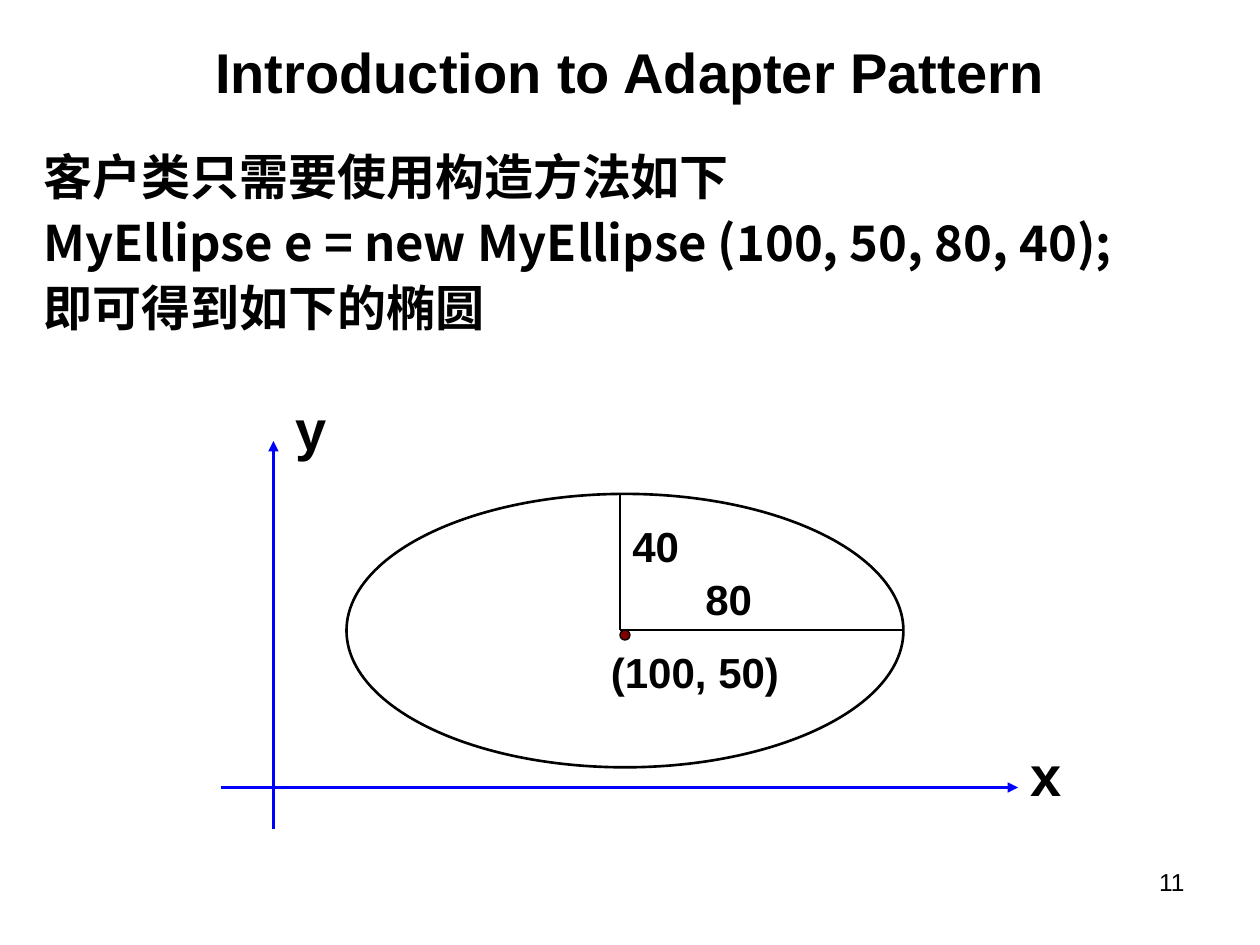
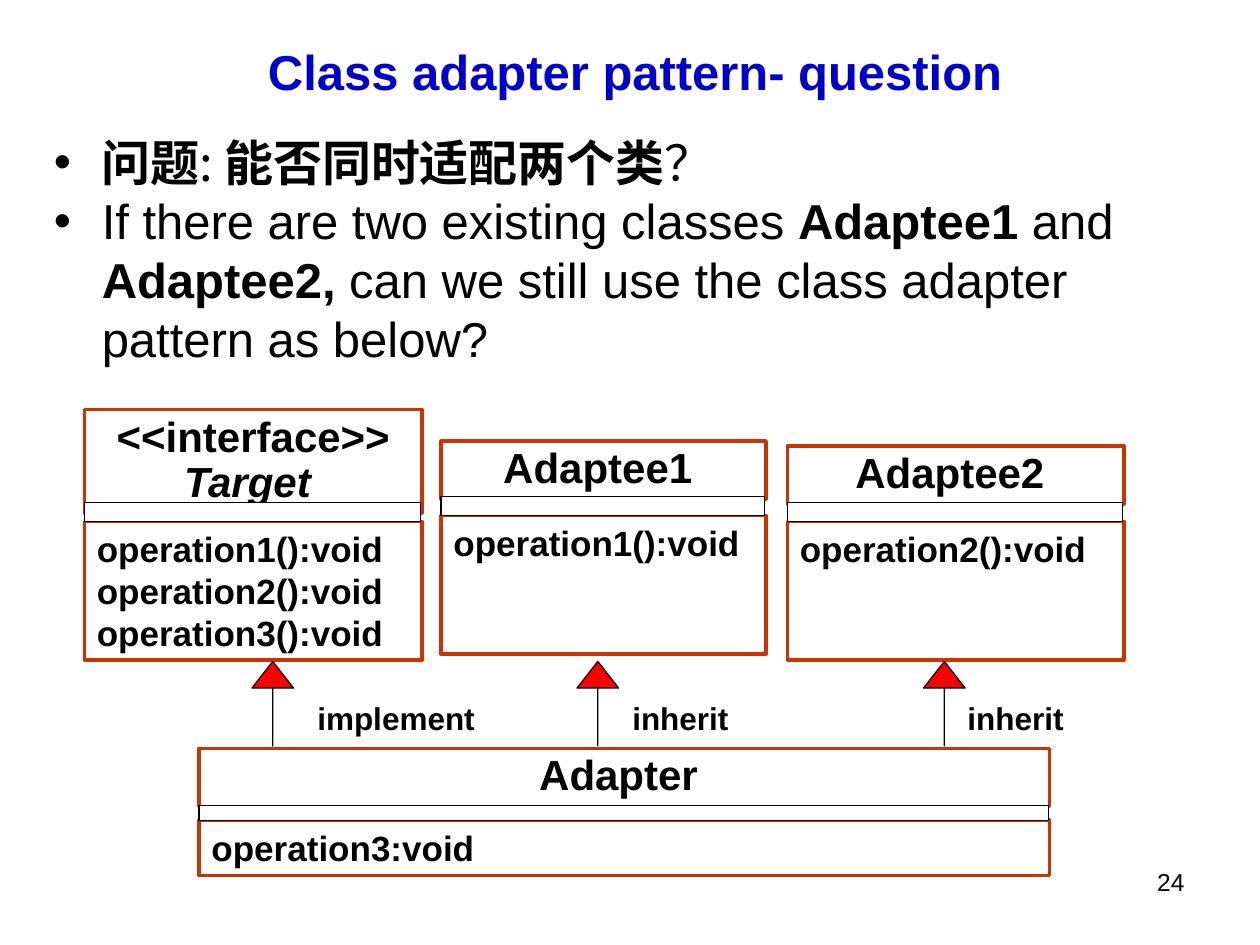
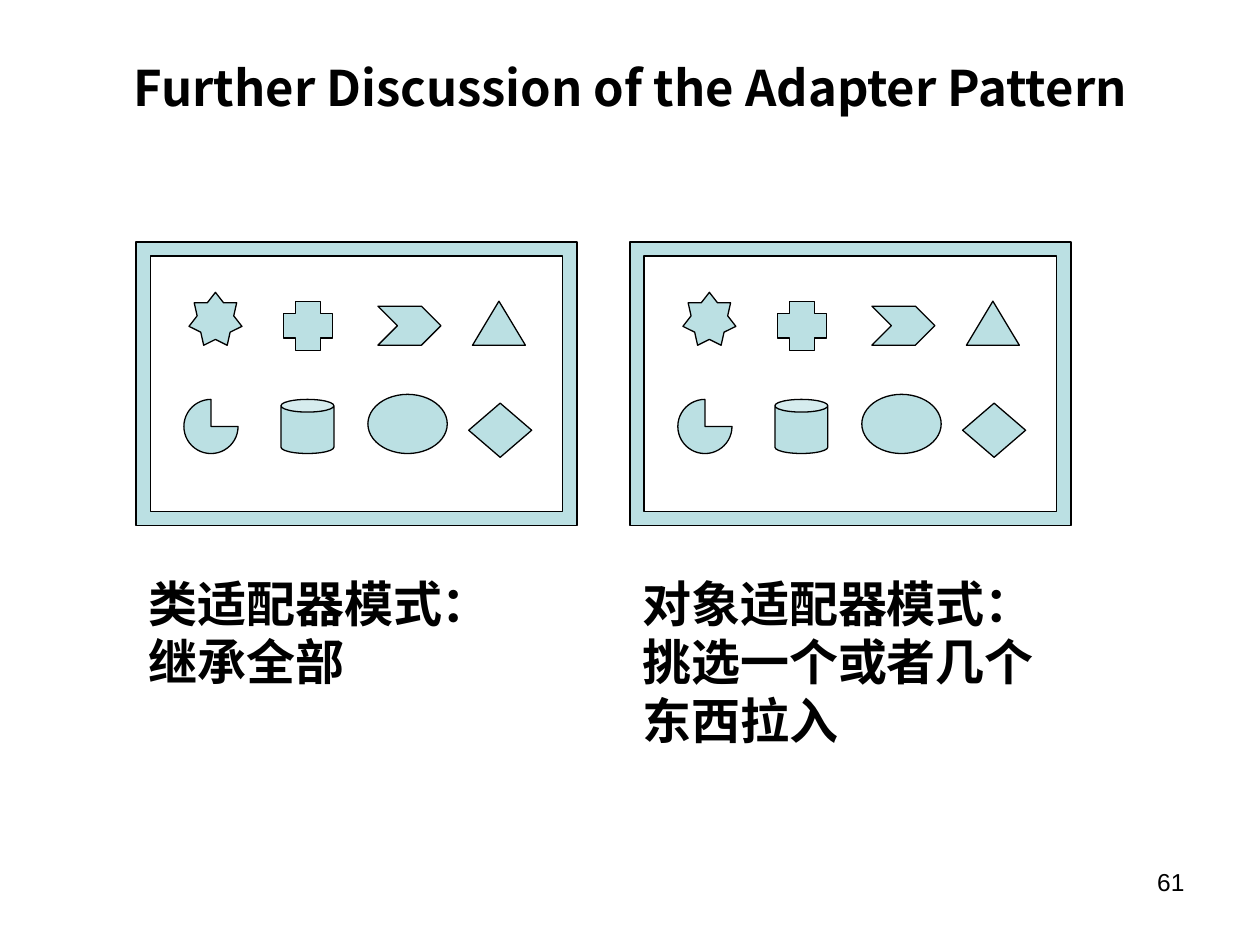
"""Builds three slides about the adapter pattern."""
from lxml import etree
from pptx import Presentation
from pptx import util as u
from pptx.dml.color import RGBColor
from pptx.enum import shapes, text
from pptx.oxml.ns import qn

SHAPE = shapes.MSO_SHAPE
CENTER, RIGHT = text.PP_ALIGN.CENTER, text.PP_ALIGN.RIGHT
ARIAL, CJK = "Arial", "Noto Sans CJK SC"
BLACK, WHITE, BLUE, NAVY = "000000", "FFFFFF", "0000FF", "0000CC"
RUST, RED, MAROON, PALE = "CC3300", "FF0000", "800000", "BBE0E3"
BOLD = {"size": 28, "bold": True}
CJK_BOLD = {**BOLD, "name": CJK}
PLAIN = {"bold": False}

TITLES = [
    ("Introduction to Adapter Pattern", (0.5, 0.3, 9, 0.53), {**BOLD, "size": 32}),
    ("Class adapter pattern- question", (0.5, 0.3, 9.08, 0.53), {**BOLD, "color": NAVY}),
    ("Further Discussion of the Adapter Pattern", (0.5, 0.3, 9, 0.78), CJK_BOLD),
]
NUMBERS = ["11", "24", "61"]

USAGE = ["客户类只需要使用构造方法如下",
         "MyEllipse e = new MyEllipse (100, 50, 80, 40);",
         "即可得到如下的椭圆"]
AXES = [((1.75, 6.25), (8.08, 6.25)), ((2.17, 6.58), (2.17, 3.5))]
CENTRE = (4.92, 5)
RADIUS_ENDS = [(7.17, 5), (4.92, 3.92)]
ELLIPSE_LABELS = [
    ("(100, 50)", (4.75, 5.08, 1.58, 0.5), 24),
    ("80", (5.5, 4.5, 0.75, 0.5), 24),
    ("40", (4.92, 4.08, 0.75, 0.5), 24),
    ("x", (8.08, 5.83, 0.58, 0.64), 32),
    ("y", (2.25, 3.08, 0.58, 0.64), 32),
]

QUESTION = [
    [("问题", {"name": CJK}), (": ", {**PLAIN, "name": CJK}),
     ("能否同时适配两个类", {"name": CJK}), ("？", {**PLAIN, "name": CJK})],
    [("If there are two existing classes ", PLAIN), ("Adaptee1 ", {}), ("and", PLAIN),
     (" Adaptee2, ", {}), ("can we still use the class adapter pattern as below?", PLAIN)],
]
# name lines, operations, left, width, (name top, height), (divider top, height), body height
CLASSES = [
    (["<<interface>>", [("Target ", {"italic": True})]],
     ["operation1():void", "operation2():void", "operation3():void"],
     0.67, 2.68, (3.25, 0.82), (3.99, 0.15), 1.1),
    (["Adaptee1 "], ["operation1():void"], 3.5, 2.58, (3.5, 0.46), (3.94, 0.15), 1.1),
    (["Adapter "], ["operation3:void"], 1.58, 6.75, (5.94, 0.46), (6.39, 0.12), 0.44),
    (["Adaptee2 "], ["operation2():void"], 6.25, 2.67, (3.54, 0.46), (3.99, 0.15), 1.1),
]
RELATIONS = [("implement", 2, 2.42, 1.58), ("inherit", 4.58, 4.92, 1), ("inherit", 7.33, 7.58, 1)]

PANEL_LEFT, PANEL_STEP = 1.08, 3.92
PANELS = [
    (["类适配器模式：", "继承全部"], 3.14, 1.04),
    (["对象适配器模式：", "挑选一个或者几个", "东西拉入"], 3.5, 1.5),
]
PANEL_SHAPES = [
    (SHAPE.FRAME, (0, 1.92, 3.5, 2.25), [0.05]),
    (SHAPE.STAR_7_POINT, (0.42, 2.32, 0.42, 0.42), []),
    (SHAPE.CROSS, (1.17, 2.39, 0.39, 0.39), [0.25]),
    (SHAPE.CHEVRON, (1.92, 2.43, 0.5, 0.31), [0.5]),
    (SHAPE.ISOSCELES_TRIANGLE, (2.67, 2.39, 0.42, 0.35), [0.5]),
    (SHAPE.PIE, (0.38, 3.17, 0.43, 0.43), []),
    (SHAPE.CAN, (1.15, 3.17, 0.42, 0.43), [0.24]),
    (SHAPE.OVAL, (1.84, 3.13, 0.63, 0.47), []),
    (SHAPE.DIAMOND, (2.64, 3.2, 0.5, 0.43), []),
]


def rgb(value):
    """Turns a hex string into a colour."""
    return RGBColor.from_string(value)


def inches(values):
    """Turns numbers into lengths."""
    return [u.Inches(v) for v in values]


def write(sp, paras, fmt, align=None, anchor=text.MSO_ANCHOR.TOP, spacing=None,
          before=0, hanging=0, bullet=None):
    """Fills a shape with paragraphs, each a string or a list of runs."""
    tf = sp.text_frame
    for key, value in {"word_wrap": True, "auto_size": text.MSO_AUTO_SIZE.NONE,
                       "vertical_anchor": anchor}.items():
        setattr(tf, key, value)
    for i, runs in enumerate(paras):
        p = tf.add_paragraph() if i else tf.paragraphs[0]
        p.alignment = align or text.PP_ALIGN.LEFT
        p.line_spacing = spacing
        p.space_before = u.Pt(before if i else 0)
        pPr = p._p.get_or_add_pPr()
        if hanging:
            pPr.set("marL", str(u.Inches(hanging)))
            pPr.set("indent", str(-u.Inches(hanging)))
        if bullet:
            etree.SubElement(pPr, qn("a:buFont"), typeface=ARIAL)
            etree.SubElement(pPr, qn("a:buChar"), char=bullet)
        for words, extra in [(runs, {})] if isinstance(runs, str) else runs:
            look = {"name": ARIAL, "color": BLACK, **fmt, **extra}
            r = p.add_run()
            r.text = words
            r.font.color.rgb = rgb(look.pop("color"))
            look["size"] = u.Pt(look["size"])
            for key, value in look.items():
                setattr(r.font, key, value)
            etree.SubElement(r._r.get_or_add_rPr(), qn("a:ea"), typeface=look["name"])


def add_text(s, box, paras, fmt, **layout):
    """Adds a text box."""
    write(s.shapes.add_textbox(*inches(box)), paras, fmt, **layout)


def draw(s, kind, box, fill=None, line=BLACK, width=0.75, adjust=()):
    """Adds a preset shape."""
    sp = s.shapes.add_shape(kind, *inches(box))
    sp.shadow.inherit = False
    if fill:
        sp.fill.solid()
        sp.fill.fore_color.rgb = rgb(fill)
    else:
        sp.fill.background()
    sp.line.color.rgb = rgb(line)
    sp.line.width = u.Pt(width)
    for i, value in enumerate(adjust):
        sp.adjustments[i] = value
    return sp


def connect(s, start, end, color=BLACK, width=0.75, arrow=False):
    """Adds a straight line, with an arrowhead at its end if wanted."""
    c = s.shapes.add_connector(shapes.MSO_CONNECTOR.STRAIGHT, *inches(start + end))
    c.line.color.rgb = rgb(color)
    c.line.width = u.Pt(width)
    if arrow:
        etree.SubElement(c.line._get_or_add_ln(), qn("a:tailEnd"), type="triangle")
    etree.SubElement(c._element.spPr, qn("a:effectLst"))


def add_slide(prs, title, number):
    """Adds a slide with its title and number."""
    words, box, fmt = title
    s = prs.slides.add_slide(prs.slide_layouts[5])
    sp = s.shapes.title
    for key, value in zip(("left", "top", "width", "height"), inches(box)):
        setattr(sp, key, value)
    write(sp, [words], fmt, align=CENTER, anchor=text.MSO_ANCHOR.MIDDLE)
    add_text(s, (7.17, 6.83, 2.33, 0.52), [number], {"size": 14}, align=RIGHT)
    return s


def ellipse_slide(s):
    """Shows the constructor call and the ellipse it gives."""
    add_text(s, (0.25, 1.17, 9.33, 1.75), USAGE, CJK_BOLD, spacing=0.9, before=7, hanging=0.38)
    draw(s, SHAPE.OVAL, (2.75, 3.92, 4.42, 2.17), width=1.5)
    for start, end in AXES:
        connect(s, start, end, BLUE, 1.5, arrow=True)
    draw(s, SHAPE.OVAL, CENTRE + (0.08, 0.08), MAROON)
    for end in RADIUS_ENDS:
        connect(s, CENTRE, end)
    for words, box, size in ELLIPSE_LABELS:
        add_text(s, box, [words], {**BOLD, "size": size})


def class_slide(s):
    """Shows the question and its class diagram."""
    add_text(s, (0.33, 1, 9, 2), QUESTION, BOLD, hanging=0.38, bullet="•")
    for names, operations, left, width, head, divider, height in CLASSES:
        body = draw(s, SHAPE.RECTANGLE, (left, sum(divider), width, height), WHITE, RUST, 2)
        write(body, operations, {**BOLD, "size": 20})
        name = draw(s, SHAPE.RECTANGLE, (left, head[0], width, head[1]), WHITE, RUST, 2)
        write(name, names, {**BOLD, "size": 24}, align=CENTER, spacing=0.9)
        draw(s, SHAPE.RECTANGLE, (left, divider[0], width - 0.01, divider[1]), WHITE)
    for words, arrow_left, left, width in RELATIONS:
        add_text(s, (left, 5.5, width, 0.4), [words], {**BOLD, "size": 18})
        draw(s, SHAPE.UP_ARROW, (arrow_left, 5.25, 0.33, 0.67), RED, adjust=(0, 0.64))


def panel_slide(s):
    """Shows the two adapter kinds side by side."""
    for i, (caption, width, height) in enumerate(PANELS):
        left = PANEL_LEFT + i * PANEL_STEP
        for kind, (x, *rest), adjust in PANEL_SHAPES:
            draw(s, kind, (left + x, *rest), PALE, adjust=adjust)
        add_text(s, (left, 4.5, width, height), caption, CJK_BOLD)


def main():
    """Builds and saves the slides."""
    prs = Presentation()
    prs.slide_width, prs.slide_height = inches((10, 7.5))
    for title, number, fill in zip(TITLES, NUMBERS, (ellipse_slide, class_slide, panel_slide)):
        fill(add_slide(prs, title, number))
    prs.save("out.pptx")


if __name__ == "__main__":
    main()
